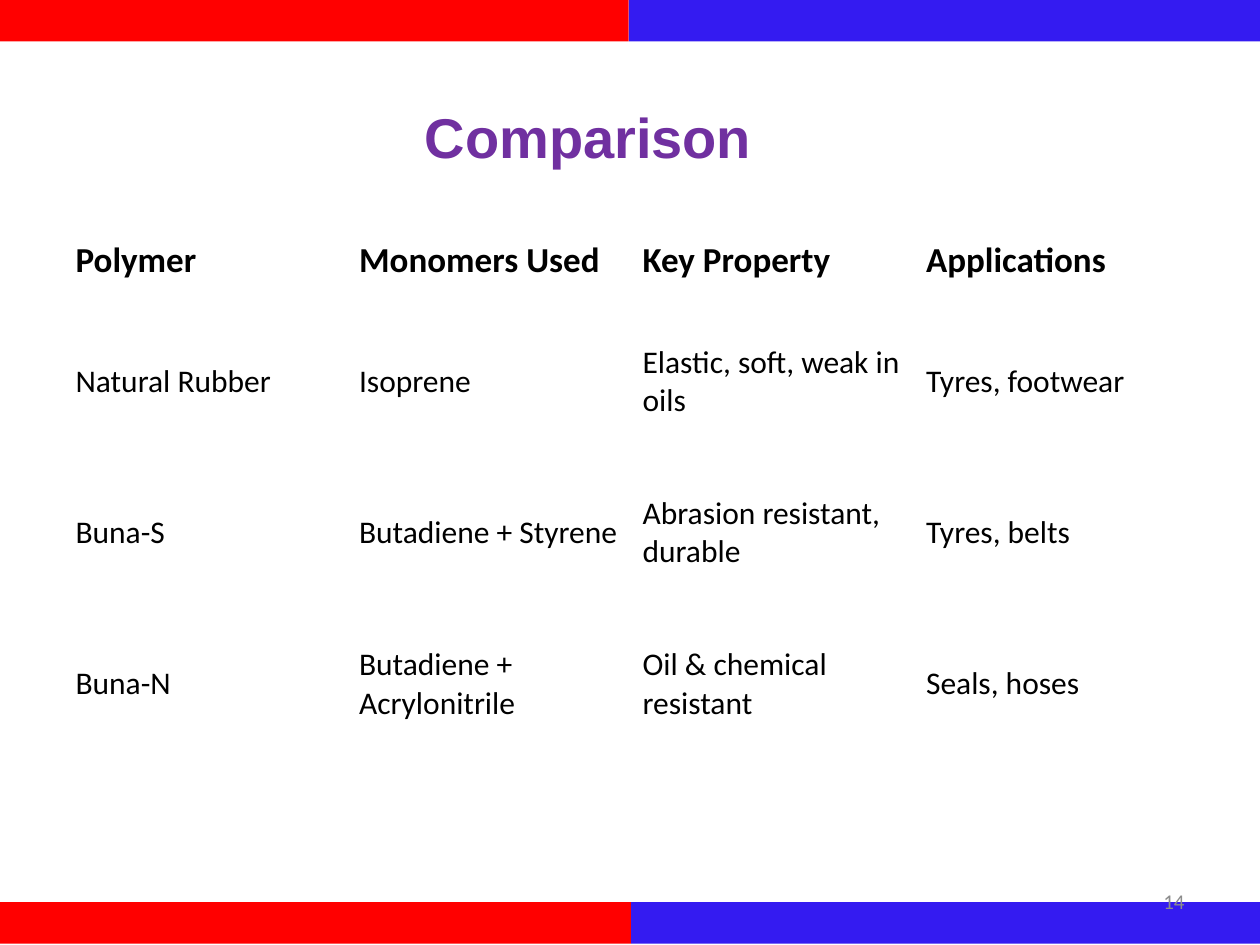
from pptx import Presentation
from pptx.dml.color import RGBColor
from pptx.enum.shapes import MSO_SHAPE
from pptx.enum.text import MSO_ANCHOR, PP_ALIGN
from pptx.util import Inches, Pt

RECTANGLE = MSO_SHAPE.RECTANGLE
TOP, MIDDLE = MSO_ANCHOR.TOP, MSO_ANCHOR.MIDDLE
LEFT, RIGHT = PP_ALIGN.LEFT, PP_ALIGN.RIGHT

RED = RGBColor(0xFF, 0x00, 0x00)
BLUE = RGBColor(0x34, 0x1B, 0xF1)
PURPLE = RGBColor(0x70, 0x30, 0xA0)
BLACK = RGBColor(0x00, 0x00, 0x00)
GRAY = RGBColor(0x8C, 0x8C, 0x8C)

TITLE_ONLY_LAYOUT = 5
COMPARISON = [
    ("Polymer", "Monomers Used", "Key Property", "Applications"),
    ("Natural Rubber", "Isoprene", "Elastic, soft, weak in oils", "Tyres, footwear"),
    ("Buna-S", "Butadiene + Styrene", "Abrasion resistant, durable", "Tyres, belts"),
    ("Buna-N", "Butadiene + Acrylonitrile", "Oil & chemical resistant", "Seals, hoses"),
]


def write_text(frame, text, size=18, color=BLACK, font="Calibri", bold=False,
               align=LEFT):
    frame.text = text
    paragraph = frame.paragraphs[0]
    paragraph.alignment = align
    run_font = paragraph.runs[0].font
    run_font.name = font
    run_font.size = Pt(size)
    run_font.bold = bold
    run_font.color.rgb = color


def add_color_band(slide, left, top, width, height):
    """Draw a band whose left half is red and right half is blue."""
    half = width / 2
    for index, color in enumerate((RED, BLUE)):
        bar = slide.shapes.add_shape(
            RECTANGLE, Inches(left + index * half), Inches(top),
            Inches(half), Inches(height))
        bar.shadow.inherit = False
        bar.fill.solid()
        bar.fill.fore_color.rgb = color
        bar.line.fill.background()


def place_title(slide, left, top, width, height):
    title = slide.shapes.title
    title.left, title.top = Inches(left), Inches(top)
    title.width, title.height = Inches(width), Inches(height)
    frame = title.text_frame
    frame.word_wrap = False
    frame.vertical_anchor = TOP
    write_text(frame, "Comparison", size=32, color=PURPLE, font="Arial", bold=True)


def add_comparison_table(slide, left, top, width, height, header_height=0.73):
    row_count, column_count = len(COMPARISON), len(COMPARISON[0])
    table = slide.shapes.add_table(
        row_count, column_count, Inches(left), Inches(top),
        Inches(width), Inches(height)).table
    table.first_row = False
    table.horz_banding = False
    body_height = (height - header_height) / (row_count - 1)
    for column in table.columns:
        column.width = Inches(width / column_count)
    for row_index, entries in enumerate(COMPARISON):
        is_header = row_index == 0
        table.rows[row_index].height = Inches(header_height if is_header else body_height)
        for column_index, entry in enumerate(entries):
            cell = table.cell(row_index, column_index)
            cell.fill.background()
            cell.vertical_anchor = MIDDLE
            write_text(cell.text_frame, entry, size=20 if is_header else 18,
                       bold=is_header)


def add_page_number(slide, left, top, width, height):
    number_box = slide.shapes.add_textbox(
        Inches(left), Inches(top), Inches(width), Inches(height))
    frame = number_box.text_frame
    frame.word_wrap = True
    frame.vertical_anchor = MIDDLE
    write_text(frame, "14", size=12, color=GRAY, align=RIGHT)


def main():
    presentation = Presentation()
    presentation.slide_width = Inches(10)
    presentation.slide_height = Inches(7.5)
    slide = presentation.slides.add_slide(presentation.slide_layouts[TITLE_ONLY_LAYOUT])

    add_color_band(slide, -0.02, 0, 10.02, 0.33)
    add_color_band(slide, 0, 7.16, 10.02, 0.33)
    add_page_number(slide, 7.17, 6.95, 2.33, 0.4)
    add_comparison_table(slide, 0.5, 1.7, 9, 4.33)
    place_title(slide, 3.27, 0.76, 2.82, 0.94)

    presentation.save("out.pptx")


if __name__ == "__main__":
    main()
